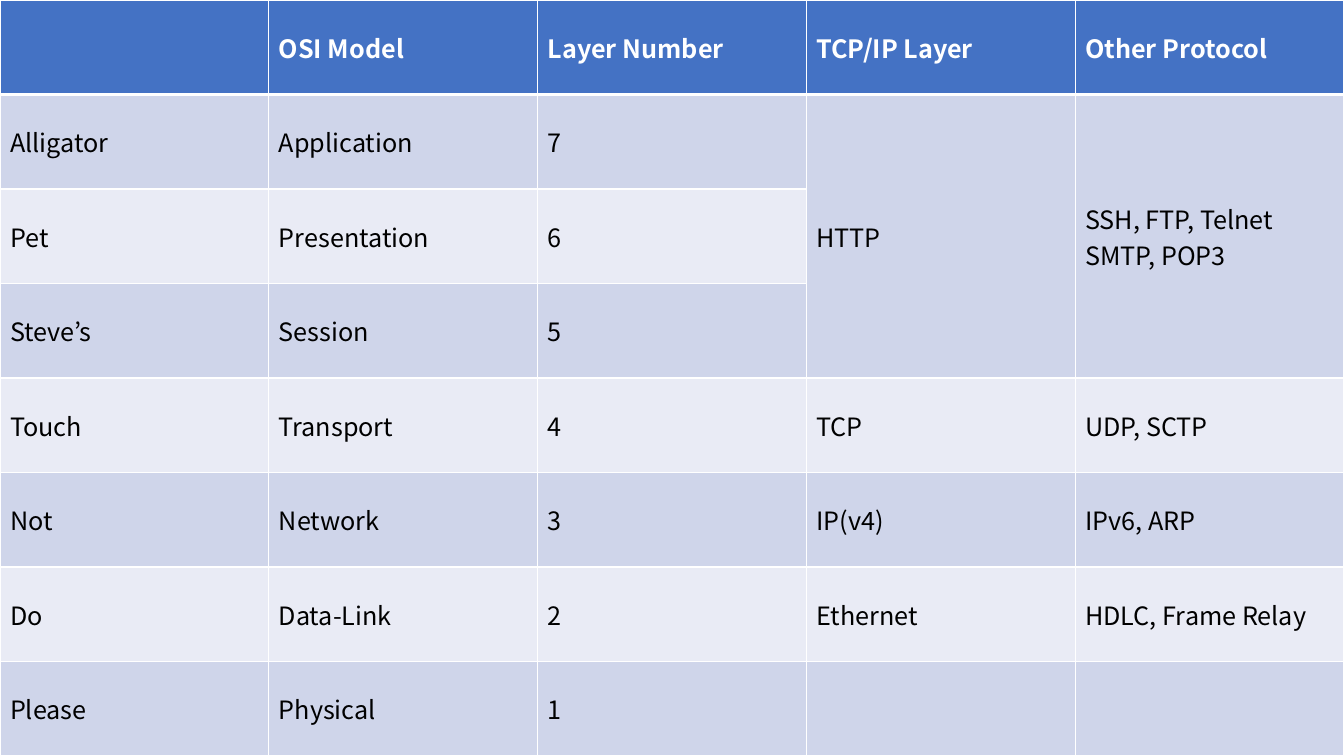
from dataclasses import dataclass

from lxml import etree
from pptx import Presentation
from pptx.dml.color import RGBColor
from pptx.enum import text
from pptx.oxml import ns
from pptx.util import Pt


@dataclass(frozen=True)
class Theme:
    """Colours, font and sizes of the slide."""
    head: str = "4472C4"
    odd: str = "CFD5EA"
    even: str = "E9EBF5"
    ink: str = "000000"
    white: str = "FFFFFF"
    font: str = "Noto Sans CJK KR"
    size: float = 18
    thin: float = 1
    thick: float = 3


THEME = Theme()
WIDTH, HEIGHT = 960, 540
ROWS = [
    ("", "OSI Model", "Layer Number", "TCP/IP Layer", "Other Protocol"),
    ("Alligator", "Application", "7", "HTTP", "SSH, FTP, Telnet\nSMTP, POP3"),
    ("Pet", "Presentation", "6", "", ""),
    ("Steve’s", "Session", "5", "", ""),
    ("Touch", "Transport", "4", "TCP", "UDP, SCTP"),
    ("Not", "Network", "3", "IP(v4)", "IPv6, ARP"),
    ("Do", "Data-Link", "2", "Ethernet", "HDLC, Frame Relay"),
    ("Please", "Physical", "1", "", ""),
]
MERGED_ROWS = (1, 3)
MERGED_COLS = (3, 4)


def add_borders(cell, row):
    """Draw white cell borders, thick under the header."""
    props = cell._tc.get_or_add_tcPr()
    widths = {"lnL": THEME.thin, "lnR": THEME.thin,
              "lnT": THEME.thick if row == 1 else THEME.thin,
              "lnB": THEME.thick if row == 0 else THEME.thin}
    for place, (side, width) in enumerate(widths.items()):
        line = etree.Element(ns.qn(f"a:{side}"), w=str(Pt(width)))
        fill = etree.SubElement(line, ns.qn("a:solidFill"))
        etree.SubElement(fill, ns.qn("a:srgbClr"), val=THEME.white)
        props.insert(place, line)


def style_cell(cell, row):
    """Give a cell its fill, borders and type by its row."""
    header = row == 0
    shade = THEME.head if header else THEME.odd if row % 2 else THEME.even
    cell.fill.solid()
    cell.fill.fore_color.rgb = RGBColor.from_string(shade)
    cell.vertical_anchor = text.MSO_ANCHOR.MIDDLE
    add_borders(cell, row)
    for para in cell.text_frame.paragraphs:
        for run in para.runs:
            run.font.name = THEME.font
            run.font.size = Pt(THEME.size)
            run.font.bold = header
            color = THEME.white if header else THEME.ink
            run.font.color.rgb = RGBColor.from_string(color)


def add_layers(slide, left, top, width, height):
    """Fill the given box with the table of network layers."""
    count, cols = len(ROWS), len(ROWS[0])
    table = slide.shapes.add_table(
        count, cols, Pt(left), Pt(top), Pt(width), Pt(height)).table
    for col in table.columns:
        col.width = Pt(width / cols)
    for row, words in enumerate(ROWS):
        table.rows[row].height = Pt(height / count)
        for col, word in enumerate(words):
            cell = table.cell(row, col)
            cell.text_frame.text = word
            style_cell(cell, row)
    first, last = MERGED_ROWS
    for col in MERGED_COLS:
        table.cell(first, col).merge(table.cell(last, col))


def main():
    """Build and save the slide."""
    deck = Presentation()
    deck.slide_width, deck.slide_height = Pt(WIDTH), Pt(HEIGHT)
    slide = deck.slides.add_slide(deck.slide_layouts.get_by_name("Blank"))
    add_layers(slide, 0, 0, WIDTH, HEIGHT)
    deck.save("out.pptx")


if __name__ == "__main__":
    main()
